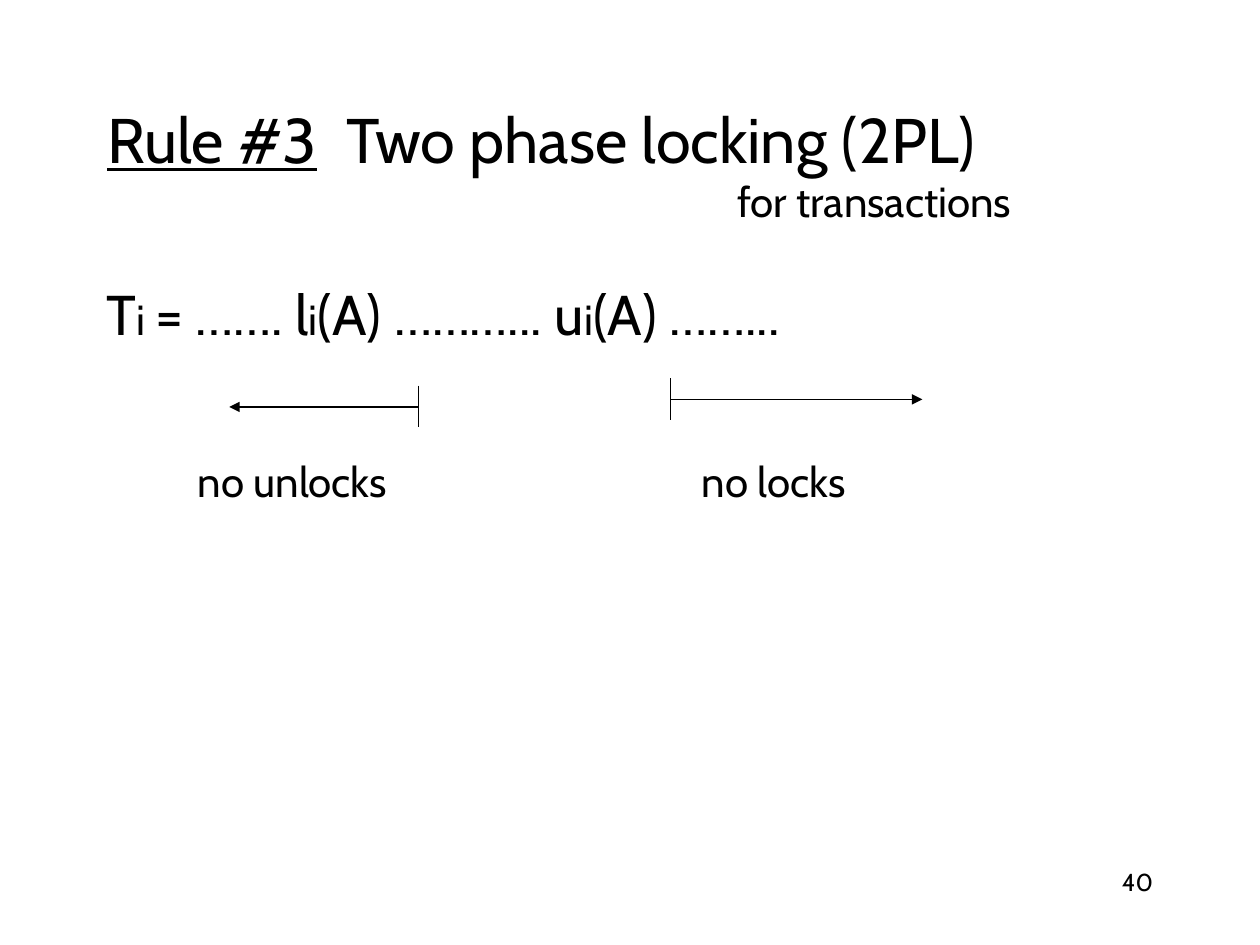
from dataclasses import dataclass

from lxml.etree import SubElement
from pptx import Presentation
from pptx.dml.color import RGBColor
from pptx.enum.shapes import MSO_CONNECTOR
from pptx.enum.text import MSO_ANCHOR, MSO_AUTO_SIZE, PP_ALIGN
from pptx.oxml.ns import qn
from pptx.util import Inches, Pt


@dataclass(frozen=True)
class Theme:
    face: str = "Cabin"
    ink: RGBColor = RGBColor(0, 0, 0)
    paper: RGBColor = RGBColor(255, 255, 255)
    title: int = 36
    body: int = 32
    note: int = 24
    number: int = 14
    rule: float = 0.75


class Board:
    def __init__(self, deck, theme):
        self.theme = theme
        self.slide = deck.slides.add_slide(deck.slide_layouts[5])
        fill = self.slide.background.fill
        fill.solid()
        fill.fore_color.rgb = theme.paper

    def style(self, para, size):
        para.font.name = self.theme.face
        para.font.size = Pt(size)
        para.font.color.rgb = self.theme.ink

    def tab(self, para, stop):
        tabs = SubElement(para._p.get_or_add_pPr(), qn("a:tabLst"))
        SubElement(tabs, qn("a:tab"), pos=str(Inches(stop)), algn="l")

    def title(self, box, lead, rest, note, stop, indent):
        """Underlined lead, rest at a tab stop, and an indented second line."""
        shape = self.slide.shapes.title
        shape.left, shape.top, shape.width, shape.height = map(Inches, box)
        frame = shape.text_frame
        frame.auto_size = MSO_AUTO_SIZE.NONE
        frame.vertical_anchor = MSO_ANCHOR.MIDDLE
        head, sub = frame.paragraphs[0], frame.add_paragraph()
        self.tab(head, stop)
        head.add_run().text = lead
        head.runs[0].font.underline = True
        head.add_run().text = "\t" + rest
        sub.text = note
        sub._p.get_or_add_pPr().set("marL", str(Inches(indent)))
        for para, size in ((head, self.theme.title), (sub, self.theme.note)):
            para.alignment = PP_ALIGN.LEFT
            self.style(para, size)

    def text(self, box, words, size, align=PP_ALIGN.LEFT, stop=None):
        frame = self.slide.shapes.add_textbox(*map(Inches, box)).text_frame
        frame.word_wrap = True
        para = frame.paragraphs[0]
        para.alignment = align
        if stop:
            self.tab(para, stop)
        para.text = words
        self.style(para, size)
        return para

    def formula(self, box, parts):
        """Parts alternate between full-size text and small subscripts."""
        para = self.text(box, "", self.theme.body)
        for i, part in enumerate(parts):
            run = para.add_run()
            run.text = part
            if i % 2:
                run.font.size = Pt(self.theme.note)

    def line(self, start, end, arrow=False):
        line = self.slide.shapes.add_connector(
            MSO_CONNECTOR.STRAIGHT, *map(Inches, start + end))
        line.line.color.rgb = self.theme.ink
        line.line.width = Pt(self.theme.rule)
        if arrow:
            SubElement(line.line._get_or_add_ln(), qn("a:tailEnd"), type="triangle")
        SubElement(line._element.spPr, qn("a:effectLst"))

    def span(self, x, y, reach):
        """Arrow from a short upright bar at x, reaching left or right."""
        self.line((x, y), (x + reach, y), arrow=True)
        self.line((x, y - 0.17), (x, y + 0.16))


def main():
    deck = Presentation()
    deck.slide_width, deck.slide_height = Inches(10), Inches(7.5)
    theme = Theme()
    board = Board(deck, theme)
    board.title((0.75, 0.67, 8.5, 1.25), "Rule #3", "Two phase locking (2PL)",
                "for transactions", stop=1.9, indent=5)
    board.formula((0.75, 2.17, 8.5, 4.5),
                  ("T", "i ", "= ……. l", "i", "(A) ………... u", "i", "(A) ……..."))
    board.span(3.32, 3.23, -1.5)
    board.span(5.32, 3.17, 2)
    board.text((1.47, 3.57, 5.48, 0.5), "no unlocks\tno locks", theme.note, stop=4)
    board.text((7.17, 6.83, 2.08, 0.5), "40", theme.number, PP_ALIGN.RIGHT)
    deck.save("out.pptx")


if __name__ == "__main__":
    main()
